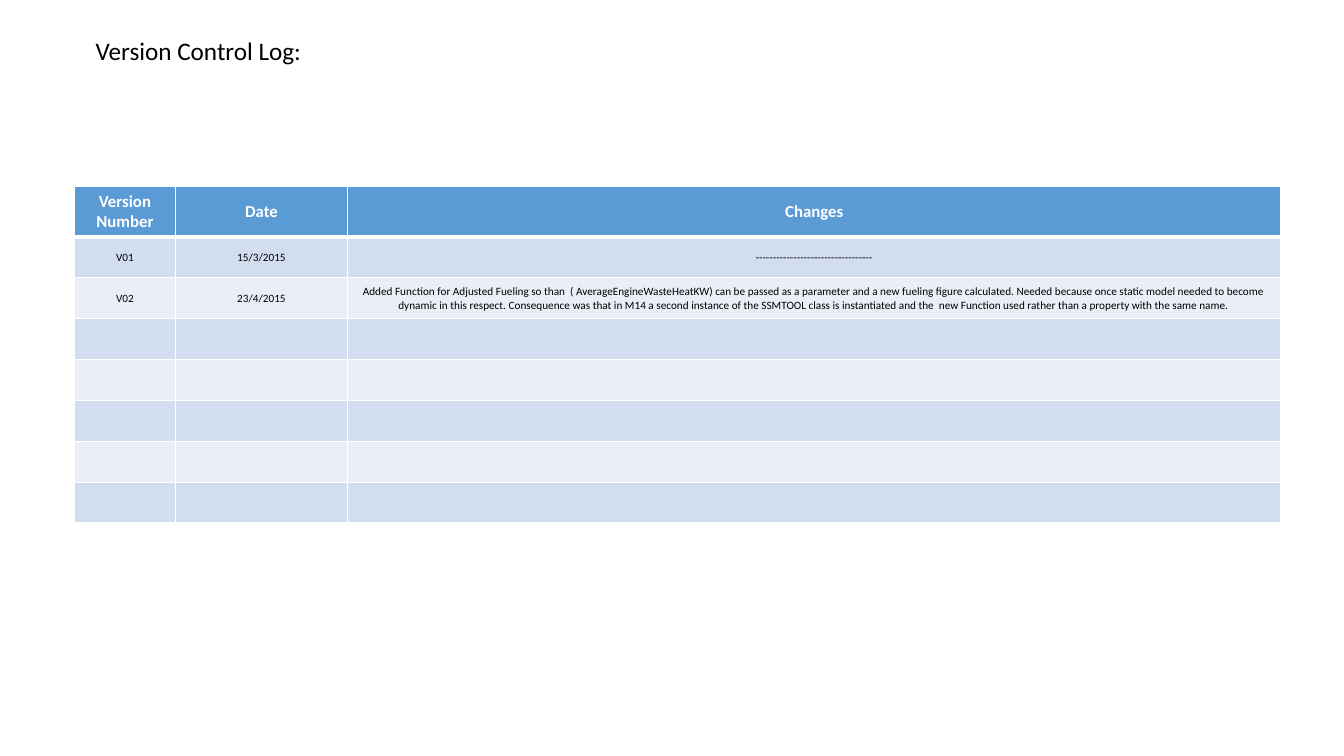
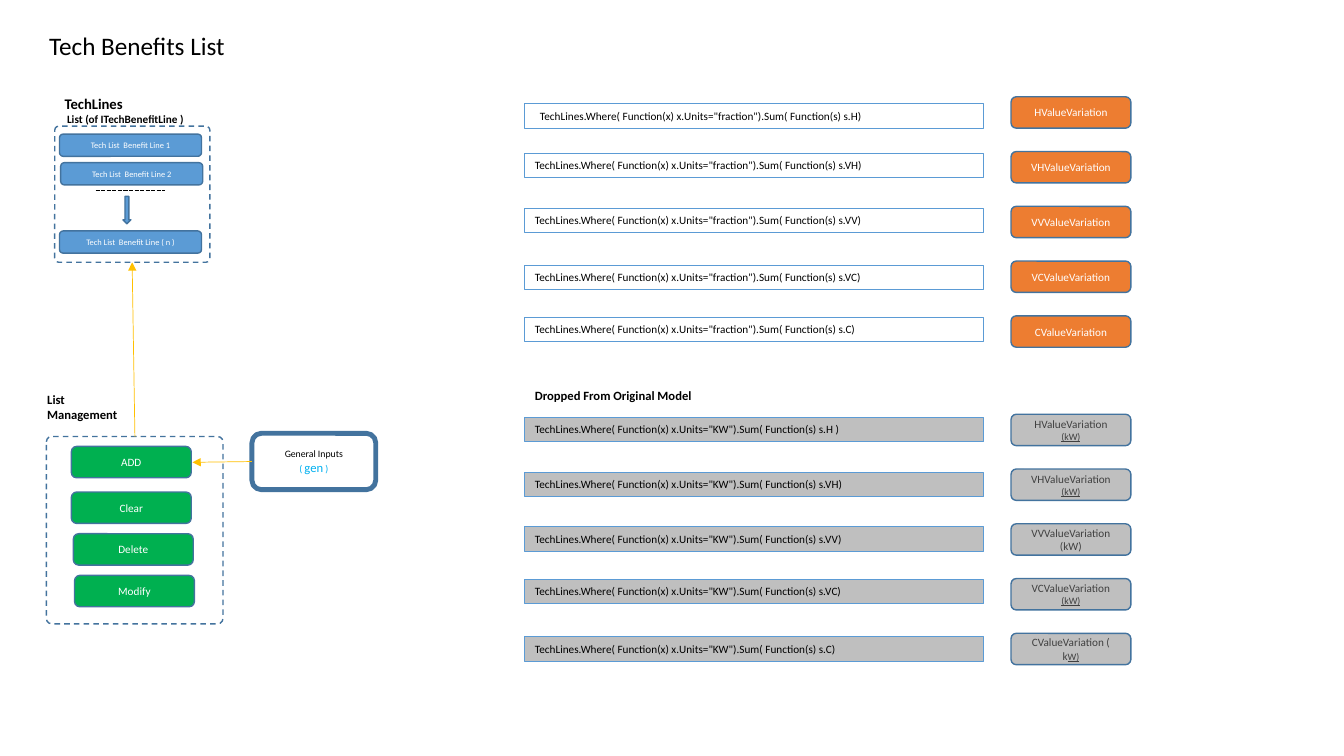
from lxml import etree
from pptx import Presentation
from pptx.dml.color import RGBColor
from pptx.enum import dml, shapes, text
from pptx.oxml import ns
from pptx.util import Cm, Pt

FONT = "Calibri"
WHITE = RGBColor(0xFF, 0xFF, 0xFF)
BLACK = RGBColor(0, 0, 0)
BLUE = RGBColor(0x5B, 0x9B, 0xD5)
NAVY = RGBColor(0x43, 0x73, 0x9E)
BANDS = RGBColor(0xEA, 0xEF, 0xF7), RGBColor(0xD2, 0xDE, 0xEF)
ORANGE = RGBColor(0xED, 0x7D, 0x31)
GREEN = RGBColor(0, 0xB0, 0x50)
GREY = RGBColor(0xBF, 0xBF, 0xBF)
DARK = RGBColor(0x40, 0x40, 0x40)
CYAN = RGBColor(0, 0xB0, 0xF0)
GOLD = RGBColor(0xFF, 0xC0, 0)

KIND = shapes.MSO_SHAPE
DASH = dml.MSO_LINE
LEFT, MID = text.PP_ALIGN.LEFT, text.PP_ALIGN.CENTER

LOG = [
    ("Version Number", "Date", "Changes"),
    ("V01", "15/3/2015", "-" * 34),
    ("V02", "23/4/2015",
     "Added Function for Adjusted Fueling so than  ( AverageEngineWasteHeatKW) "
     "can be passed as a parameter and a new fueling figure calculated. Needed "
     "because once static model needed to become dynamic in this respect. "
     "Consequence was that in M14 a second instance of the SSMTOOL class is "
     "instantiated and the  new Function used rather than a property with the "
     "same name."),
] + [("", "", "")] * 5
WIDTHS = 2.54, 4.34, 23.52

UNIT = ("(kW)", {"size": Pt(7), "underline": True})
CODE = 'TechLines.Where( Function(x) x.Units="{}").Sum( Function(s) s.{})'
GROUPS = [
    ("fraction", 2.44, None, ORANGE, WHITE, [
        ("H", 2.62, ["HValueVariation"]),
        ("VH", 3.86, ["VHValueVariation"]),
        ("VV", 5.26, ["VVValueVariation"]),
        ("VC", 6.68, ["VCValueVariation"]),
        ("C", 8.0, ["CValueVariation"])]),
    ("KW", 10.44, GREY, GREY, DARK, [
        ("H ", 10.52, ["HValueVariation", [UNIT]]),
        ("VH", 11.91, [["VHValueVariation ", UNIT]]),
        ("VV", 13.28, ["VVValueVariation (kW)"]),
        ("VC", 14.61, ["VCValueVariation", [UNIT]]),
        ("C", 16.05, ["CValueVariation (", ["k", ("W)", UNIT[1])]])]),
]
STEP = 1.38
LINES = [("1", 1.5, 3.38), ("2", 1.53, 4.1), ("( n )", 1.5, 5.82)]
BUTTONS = [("ADD", 1.8, 11.25), ("Clear", 1.8, 12.4),
           ("Delete", 1.85, 13.45), ("Modify", 1.88, 14.5)]
FRAMES = [(1.38, 3.18, 3.91, 3.43), (1.17, 11.0, 4.45, 4.72)]
INPUTS = ["General Inputs", [("( ", {"size": Pt(7)}), "gen", (" )", {"size": Pt(7)})]]


def write(frame, paras, size, color, bold=False, align=LEFT):
    for i, parts in enumerate(paras):
        para = frame.paragraphs[0] if i == 0 else frame.add_paragraph()
        para.alignment = align
        font = para.font
        font.name, font.size, font.bold = FONT, Pt(size), bold
        font.color.rgb = color
        for part in [parts] if isinstance(parts, str) else parts:
            words, style = (part, {}) if isinstance(part, str) else part
            run = para.add_run()
            run.text = words
            for key, value in style.items():
                setattr(run.font, key, value)


def label(slide, paras, x, y, w, h, size, bold=False, wrap=True):
    frame = slide.shapes.add_textbox(Cm(x), Cm(y), Cm(w), Cm(h)).text_frame
    frame.word_wrap = wrap
    write(frame, paras, size, BLACK, bold)
    return frame


def title(slide, words, x, y, w):
    label(slide, [words], x, y, w, 1.02, 18, wrap=False)


def box(slide, kind, x, y, w, h, fill=None, line=NAVY, width=1):
    shape = slide.shapes.add_shape(kind, Cm(x), Cm(y), Cm(w), Cm(h))
    shape.shadow.inherit = False
    if fill is None:
        shape.fill.background()
    else:
        shape.fill.solid()
        shape.fill.fore_color.rgb = fill
    shape.line.color.rgb = line
    shape.line.width = Pt(width)
    shape.text_frame.word_wrap = True
    return shape


def pill(slide, paras, x, y, fill, color=WHITE, w=3.02, h=0.79, size=8, width=1):
    shape = box(slide, KIND.ROUNDED_RECTANGLE, x, y, w, h, fill, width=width)
    shape.text_frame.vertical_anchor = text.MSO_ANCHOR.MIDDLE
    write(shape.text_frame, paras, size, color, align=MID)
    return shape


def link(slide, x, y, x2, y2, color, width, arrow=True):
    wire = slide.shapes.add_connector(
        shapes.MSO_CONNECTOR.STRAIGHT, Cm(x), Cm(y), Cm(x2), Cm(y2))
    wire.line.color.rgb = color
    wire.line.width = Pt(width)
    if arrow:
        tail = etree.SubElement(wire.line._get_or_add_ln(), ns.qn("a:tailEnd"))
        tail.set("type", "triangle")
    else:
        wire.line.dash_style = DASH.SQUARE_DOT
    etree.SubElement(wire._element.spPr, ns.qn("a:effectLst"))


def edge(cell, base):
    props = cell._tc.get_or_add_tcPr()
    sides = ("L", 1), ("R", 1), ("T", 1), ("B", base)
    for i, (side, width) in enumerate(sides):
        line = etree.Element(ns.qn("a:ln" + side), w=str(Pt(width)))
        fill = etree.SubElement(line, ns.qn("a:solidFill"))
        etree.SubElement(fill, ns.qn("a:srgbClr"), val=str(WHITE))
        props.insert(i, line)


def history(slide):
    title(slide, "Version Control Log:", 2.16, 0.76, 5.74)
    grid = slide.shapes.add_table(
        len(LOG), len(WIDTHS), Cm(1.88), Cm(4.7),
        Cm(sum(WIDTHS)), Cm(1.03 * len(LOG))).table
    for col, width in zip(grid.columns, WIDTHS):
        col.width = Cm(width)
    for r, row in enumerate(LOG):
        head = r == 0
        for c, words in enumerate(row):
            cell = grid.cell(r, c)
            cell.fill.solid()
            cell.fill.fore_color.rgb = BLUE if head else BANDS[r % 2]
            cell.vertical_anchor = text.MSO_ANCHOR.MIDDLE
            edge(cell, 3 if head else 1)
            if words:
                write(cell.text_frame, [words], 12 if head else 8,
                      WHITE if head else BLACK, head, MID)


def benefits(slide):
    title(slide, "Tech Benefits List", 0.99, 0.64, 5.0)
    for unit, top, back, fill, color, rows in GROUPS:
        for i, (field, y, name) in enumerate(rows):
            pill(slide, name, 25.48, top + i * STEP, fill, color)
            bar = box(slide, KIND.RECTANGLE, 13.23, y, 11.56, 0.61, back, BLUE, 0.75)
            bar.text_frame.vertical_anchor = text.MSO_ANCHOR.TOP
            lead = "  " if y == 2.62 else ""
            write(bar.text_frame, [lead + CODE.format(unit, field)], 8, BLACK)
    for mark, x, y in LINES:
        pill(slide, ["Tech List  Benefit Line " + mark], x, y, BLUE,
             w=3.58, h=0.56, size=6)
    link(slide, 2.41, 4.8, 4.17, 4.8, BLACK, 1, arrow=False)
    box(slide, KIND.DOWN_ARROW, 3.1, 4.95, 0.2, 0.69, BLUE)
    for words, x, y in BUTTONS:
        pill(slide, [words], x, y, GREEN)
    for place in FRAMES:
        frame = box(slide, KIND.ROUNDED_RECTANGLE, *place)
        frame.adjustments[0] = 0.03
        frame.line.dash_style = DASH.DASH
    names = label(slide, ["TechLines", [("List (of ITechBenefitLine )", {"size": Pt(8)})]],
                  1.38, 2.26, 4.24, 1.04, 10.5, True)
    names.paragraphs[1]._p.get_or_add_pPr().set("marL", str(Cm(0.06)))
    label(slide, ["Dropped From Original Model"], 13.23, 9.65, 5.21, 0.64, 9, True)
    label(slide, ["List", "Management"], 0.94, 9.75, 2.54, 1.02, 9, True)
    gen = pill(slide, INPUTS, 6.35, 10.92, WHITE, BLACK, 3.12, 1.42, 7, 3.5)
    last = gen.text_frame.paragraphs[1]
    last.font.size, last.font.color.rgb = Pt(9), CYAN
    link(slide, 6.35, 11.63, 4.85, 11.65, GOLD, 0.5)
    link(slide, 3.4, 11.0, 3.33, 6.61, GOLD, 0.5)


def main():
    deck = Presentation()
    deck.slide_width, deck.slide_height = Cm(33.87), Cm(19.05)
    for draw in history, benefits:
        draw(deck.slides.add_slide(deck.slide_layouts[6]))
    deck.save("out.pptx")


if __name__ == "__main__":
    main()
